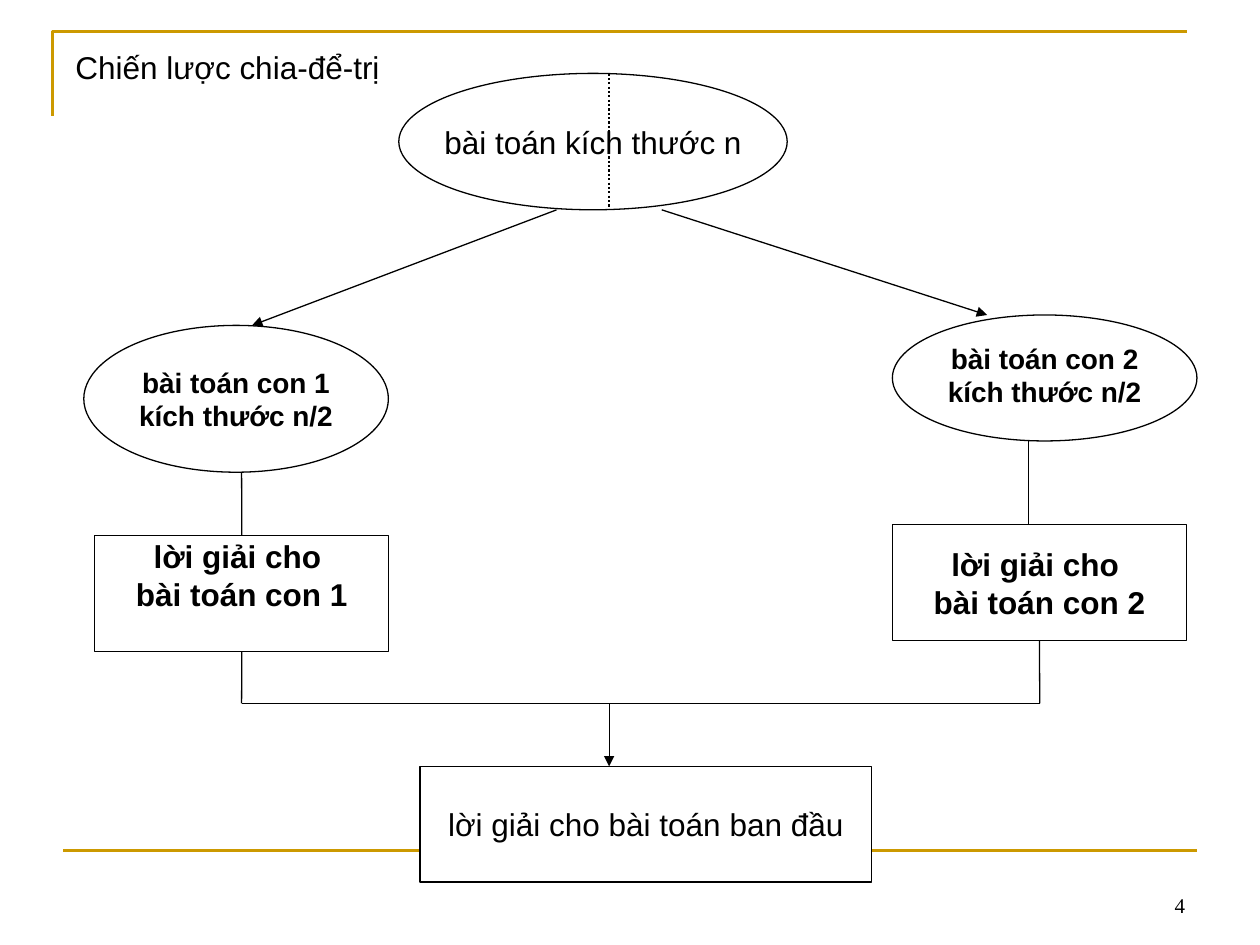
"""Build the divide-and-conquer strategy slide."""
from dataclasses import dataclass

from lxml.etree import SubElement
from pptx import Presentation
from pptx.dml.color import RGBColor
from pptx.enum.dml import MSO_LINE
from pptx.enum.shapes import MSO_CONNECTOR, MSO_SHAPE
from pptx.enum.text import MSO_ANCHOR, PP_ALIGN
from pptx.oxml.ns import qn
from pptx.util import Cm, Pt


@dataclass(frozen=True)
class Theme:
    ink: RGBColor = RGBColor(0, 0, 0)
    paper: RGBColor = RGBColor(255, 255, 255)
    gold: RGBColor = RGBColor(0xCC, 0x99, 0)
    font: str = "Arial"
    number_font: str = "Times New Roman"
    body: int = 18
    small: int = 16
    number: int = 12
    thin: float = 0.75
    dotted: float = 1.25
    rule: float = 1.5


T = Theme()
OVAL, RECT = MSO_SHAPE.OVAL, MSO_SHAPE.RECTANGLE
TOP, BOTTOM = 0, 2

TITLE = ("Chiến lược chia-để-trị", (1.27, 0.85, 7.41, 1.02))
NUMBER = ("4", (18.21, 17.36, 5.93, 1.27))
CORNER = [(1.06, 2.33), (1.06, 0.64), (23.92, 0.64)]
FOOTER = ((1.27, 17.15), (24.13, 17.15))

NODES = {
    "problem": (OVAL, (8.04, 1.48, 7.83, 2.75), ["bài toán kích thước n"], T.body, False, (0.13, 0.13)),
    "sub1": (OVAL, (1.69, 6.56, 6.14, 2.96), ["bài toán con 1", "kích thước n/2"], T.small, True, (0.13, 0.13)),
    "sub2": (OVAL, (17.99, 6.35, 6.14, 2.54), ["bài toán con 2", "kích thước n/2"], T.small, True, (0.13, 0.25)),
    "answer1": (RECT, (1.91, 10.8, 5.93, 2.33), ["lời giải cho ", "bài toán con 1"], T.body, True, (0, 0.74)),
    "answer2": (RECT, (17.99, 10.58, 5.93, 2.33), ["lời giải cho ", "bài toán con 2"], T.body, True, (0.13, 0.13)),
    "answer": (RECT, (8.47, 15.45, 9.1, 2.33), ["lời giải cho bài toán ban đầu"], T.body, False, (0.13, 0.13)),
}
JOIN_Y = 14.18
SPLIT_X = 12.28
LEFT_X, RIGHT_X = 4.87, 20.96
ARROWS = [
    ((11.22, 4.23), (5.08, 6.56)),
    ((13.34, 4.23), (19.9, 6.35)),
    ((SPLIT_X, JOIN_Y), (SPLIT_X, 15.45)),
]
LINKS = [
    ((LEFT_X, 9.52), (LEFT_X, 10.8), None, ("answer1", TOP)),
    ((20.74, 8.89), (20.74, 10.58), None, None),
    ((LEFT_X, 13.13), (LEFT_X, JOIN_Y), ("answer1", BOTTOM), None),
    ((RIGHT_X, 12.91), (RIGHT_X, JOIN_Y), ("answer2", BOTTOM), None),
    ((LEFT_X, JOIN_Y), (RIGHT_X, JOIN_Y), None, None),
]


def write(tf, lines, size, font=T.font, bold=False, align=PP_ALIGN.LEFT):
    for i, line in enumerate(lines):
        p = tf.paragraphs[0] if i == 0 else tf.add_paragraph()
        p.text, p.alignment = line, align
        p.font.name, p.font.size, p.font.bold = font, Pt(size), bold
        p.font.color.rgb = T.ink


def add_text(s, text, box, size, anchor=MSO_ANCHOR.TOP, **style):
    tf = s.shapes.add_textbox(*map(Cm, box)).text_frame
    tf.word_wrap, tf.vertical_anchor = True, anchor
    write(tf, [text], size, **style)


def add_line(s, start, end, color=T.ink, width=T.thin, arrow=False):
    c = s.shapes.add_connector(MSO_CONNECTOR.STRAIGHT, *map(Cm, start + end))
    c.line.color.rgb, c.line.width = color, Pt(width)
    SubElement(c._element.spPr, qn("a:effectLst"))
    if arrow:
        SubElement(c.line._get_or_add_ln(), qn("a:tailEnd"), type="triangle")
    return c


def add_node(s, kind, box, lines, size, bold, margins):
    sp = s.shapes.add_shape(kind, *map(Cm, box))
    sp.shadow.inherit = False
    sp.line.color.rgb, sp.line.width = T.ink, Pt(T.thin)
    sp.fill.solid()
    sp.fill.fore_color.rgb = T.paper
    tf = sp.text_frame
    tf.word_wrap, tf.vertical_anchor = False, MSO_ANCHOR.MIDDLE
    tf.margin_top, tf.margin_bottom = map(Cm, margins)
    write(tf, lines, size, bold=bold, align=PP_ALIGN.CENTER)
    return sp


def add_frame(s):
    points = [(Cm(x), Cm(y)) for x, y in CORNER]
    fb = s.shapes.build_freeform(*points[0])
    fb.add_line_segments(points[1:], close=False)
    sp = fb.convert_to_shape()
    sp.shadow.inherit = False
    sp.fill.background()
    sp.line.color.rgb, sp.line.width = T.gold, Pt(T.rule)
    add_line(s, *FOOTER, T.gold, T.rule)


def main():
    prs = Presentation()
    prs.slide_width, prs.slide_height = Cm(25.4), Cm(19.05)
    s = prs.slides.add_slide(prs.slide_layouts[6])
    add_frame(s)
    add_text(s, *NUMBER, T.number, MSO_ANCHOR.BOTTOM, font=T.number_font, align=PP_ALIGN.RIGHT)
    nodes = {name: add_node(s, *node) for name, node in NODES.items()}
    split = add_line(s, (SPLIT_X, 1.48), (SPLIT_X, 4.23), width=T.dotted)
    split.line.dash_style = MSO_LINE.ROUND_DOT
    for start, end, begin_at, end_at in LINKS:
        c = add_line(s, start, end)
        if begin_at:
            c.begin_connect(nodes[begin_at[0]], begin_at[1])
        if end_at:
            c.end_connect(nodes[end_at[0]], end_at[1])
    for start, end in ARROWS:
        add_line(s, start, end, arrow=True)
    add_text(s, *TITLE, T.body)
    prs.save("out.pptx")


if __name__ == "__main__":
    main()
